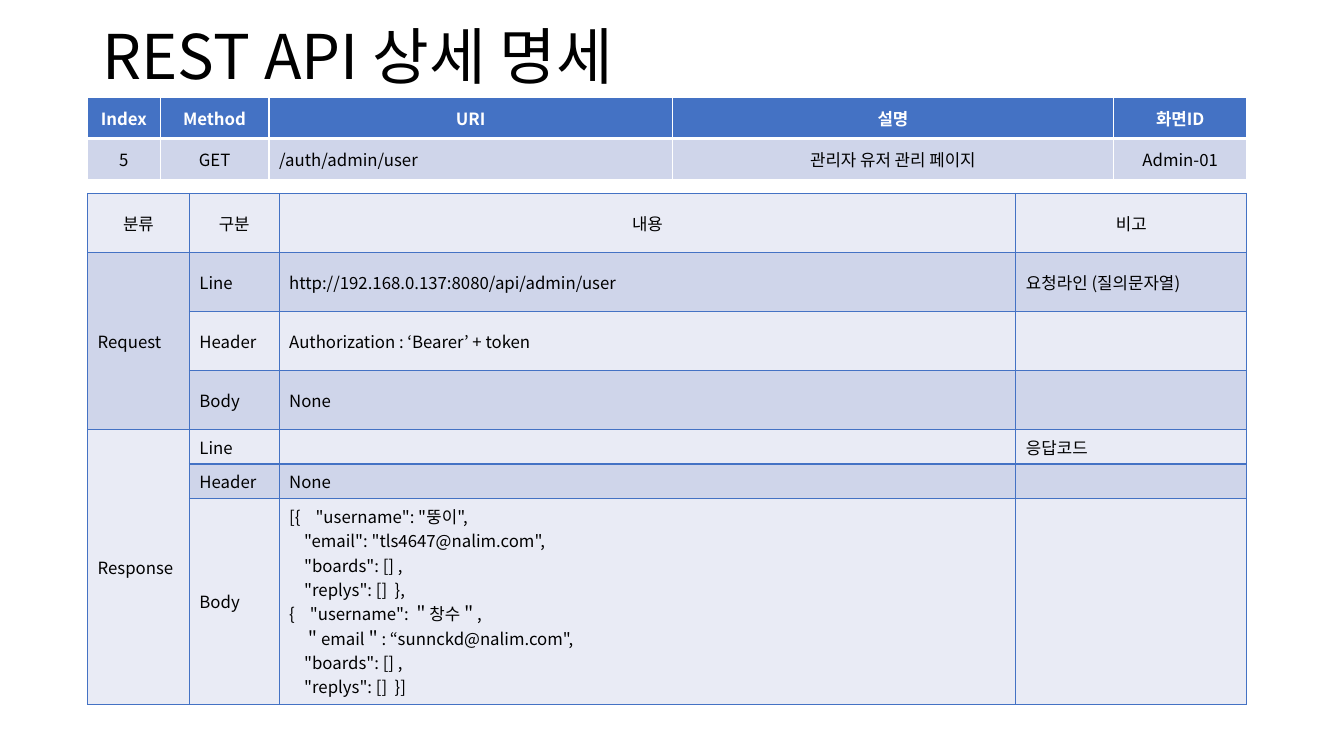
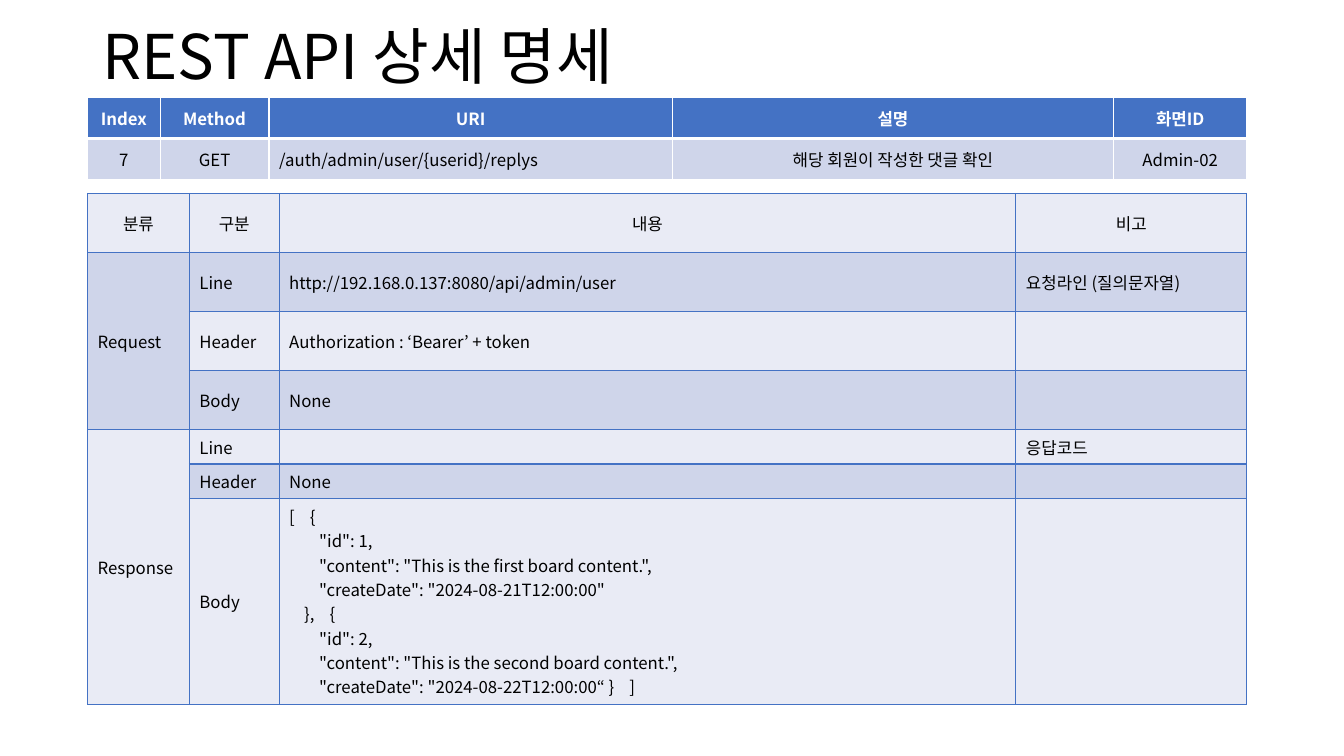
from lxml import etree
from pptx import Presentation
from pptx.dml.color import RGBColor
from pptx.enum import text
from pptx.oxml import ns
from pptx.util import Pt

FONT = "Noto Sans CJK KR"
COLORS = {"blue": "4472C4", "band": "CFD5EA", "pale": "E9EBF5",
          "white": "FFFFFF", "black": "000000"}
LEFT = 62.6
SUMMARY_COLUMNS = [51.8, 77.8, 288, 315.4, 95]
DETAIL_COLUMNS = [72.7, 64.1, 526.3, 164.9]
DETAIL_ROWS = [42.2] * 4 + [24.6] * 2 + [147]

SUMMARY_HEADS = ["Index", "Method", "URI", "설명", "화면ID"]
DETAIL_HEADS = ["분류", "구분", "내용", "비고"]

APIS = [
    (["5", "GET", "/auth/admin/user", "관리자 유저 관리 페이지", "Admin-01"],
     """[{    "username": "뚱이",
    "email": "tls4647@nalim.com",
    "boards": [] ,
    "replys": []  },
{    "username": ＂창수＂,
    ＂email＂: “sunnckd@nalim.com",
    "boards": [] ,
    "replys": []  }]"""),
    (["7", "GET", "/auth/admin/user/{userid}/replys", "해당 회원이 작성한 댓글 확인", "Admin-02"],
     """[    {
        "id": 1,
        "content": "This is the first board content.",
        "createDate": "2024-08-21T12:00:00"
    },    {
        "id": 2,
        "content": "This is the second board content.",
        "createDate": "2024-08-22T12:00:00“ }    ]"""),
]


def rgb(color):
    return RGBColor.from_string(COLORS[color])


def add_span(para, words, size, color="black", bold=False):
    span = para.add_run()
    span.text = words
    font = span.font
    font.name, font.size, font.bold = FONT, Pt(size), bold
    font.color.rgb = rgb(color)
    etree.SubElement(font._element, ns.qn("a:ea"), typeface=FONT)


def add_title(page, words):
    box = page.shapes.add_textbox(Pt(66.2), Pt(-10), Pt(828), Pt(104.4))
    frame = box.text_frame
    frame.word_wrap = True
    frame.vertical_anchor = text.MSO_ANCHOR.MIDDLE
    para = frame.paragraphs[0]
    para.line_spacing = 0.9
    add_span(para, words, 44)


def add_border(cell, side, color, width):
    """Draw one side of a cell: L, R, T or B."""
    properties = cell._tc.get_or_add_tcPr()
    line = etree.SubElement(properties, ns.qn(f"a:ln{side}"), w=str(Pt(width)))
    fill = etree.SubElement(line, ns.qn("a:solidFill"))
    etree.SubElement(fill, ns.qn("a:srgbClr"), val=COLORS[color])


def fill_cell(cell, words, fill, borders, color="black", bold=False, centered=False):
    """Style a cell; borders is a colour and the widths of L, R, T and B."""
    line_color, widths = borders
    for side, width in zip("LRTB", widths):
        add_border(cell, side, line_color, width)
    cell.fill.solid()
    cell.fill.fore_color.rgb = rgb(fill)
    cell.vertical_anchor = text.MSO_ANCHOR.MIDDLE
    frame = cell.text_frame
    for index, line in enumerate(words.split("\n")):
        para = frame.add_paragraph() if index else frame.paragraphs[0]
        para.alignment = text.PP_ALIGN.CENTER if centered else text.PP_ALIGN.LEFT
        if line:
            add_span(para, line, 12, color, bold)
        else:
            # An empty cell would otherwise take the default size and grow its row
            etree.SubElement(para._p, ns.qn("a:endParaRPr"), sz="1200")


def add_grid(page, top, columns, rows):
    frame = page.shapes.add_table(len(rows), len(columns), Pt(LEFT), Pt(top),
                                  Pt(sum(columns)), Pt(sum(rows)))
    table = frame.table
    table.first_row = table.horz_banding = False
    for column, width in zip(table.columns, columns):
        column.width = Pt(width)
    for row, height in zip(table.rows, rows):
        row.height = Pt(height)
    return table


def add_summary(page, values):
    table = add_grid(page, 69.8, SUMMARY_COLUMNS, [29.2, 29.2])
    for column, (head, value) in enumerate(zip(SUMMARY_HEADS, values)):
        fill_cell(table.cell(0, column), head, "blue", ("white", (1, 1, 1, 3)),
                  "white", bold=True, centered=True)
        fill_cell(table.cell(1, column), value, "band", ("white", (1, 1, 3, 1)),
                  centered=SUMMARY_HEADS[column] != "URI")


def add_details(page, response_body):
    rows = [
        DETAIL_HEADS,
        ["Request", "Line", "http://192.168.0.137:8080/api/admin/user", "요청라인 (질의문자열)"],
        ["", "Header", "Authorization : ‘Bearer’ + token", ""],
        ["", "Body", "None", ""],
        ["Response", "Line", "", "응답코드"],
        ["", "Header", "None", ""],
        ["", "Body", response_body, ""],
    ]
    table = add_grid(page, 138.2, DETAIL_COLUMNS, DETAIL_ROWS)
    for row, values in enumerate(rows):
        fill = "band" if row % 2 else "pale"
        for column, words in enumerate(values):
            fill_cell(table.cell(row, column), words, fill, ("blue", (1, 1, 1, 1)),
                      centered=row == 0)
    for first in (1, 4):
        table.cell(first, 0).merge(table.cell(first + 2, 0))


def main():
    deck = Presentation()
    deck.slide_width, deck.slide_height = Pt(960), Pt(540)
    for summary, response_body in APIS:
        page = deck.slides.add_slide(deck.slide_layouts[6])
        add_title(page, "REST API 상세 명세")
        add_summary(page, summary)
        add_details(page, response_body)
    deck.save("out.pptx")


if __name__ == "__main__":
    main()
